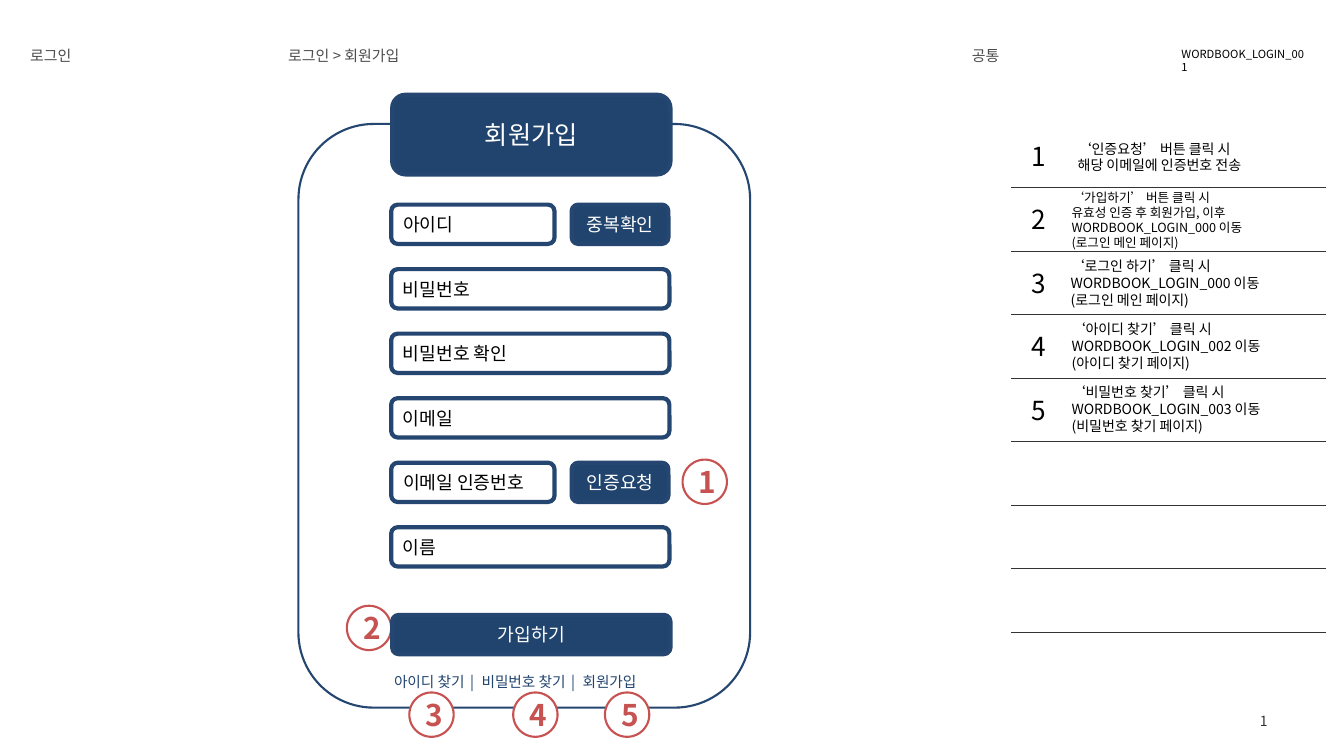
from lxml.etree import SubElement
from pptx import Presentation
from pptx.dml.color import RGBColor
from pptx.enum.shapes import MSO_CONNECTOR, MSO_SHAPE
from pptx.enum.text import MSO_ANCHOR, MSO_AUTO_SIZE, PP_ALIGN
from pptx.oxml.ns import qn
from pptx.util import Pt

NAVY, EDGE, RED = "21446E", "244670", "C75252"
BLACK, WHITE, DARK, GRAY = "000000", "FFFFFF", "333333", "4C4C4C"
LEFT, CENTER, RIGHT = PP_ALIGN.LEFT, PP_ALIGN.CENTER, PP_ALIGN.RIGHT
TOP, MIDDLE = MSO_ANCHOR.TOP, MSO_ANCHOR.MIDDLE


def px(*lengths):
    return [length * 9144 for length in lengths]


def color(value):
    return RGBColor.from_string(value)


def assign(target, values):
    for name, value in values.items():
        setattr(target, name, value)


class Wireframe:
    """Draws the elements of a screen specification on one slide."""

    font_name = "Noto Sans CJK KR"

    def __init__(self, presentation):
        self.slide = presentation.slides.add_slide(presentation.slide_layouts[6])

    def fill_text(self, shape, lines, size, ink, align=LEFT, anchor=TOP,
                  bold=False, insets=(10, 5, 10, 5), grow=False):
        frame = shape.text_frame
        left, top, right, bottom = px(*insets)
        assign(frame, {
            "word_wrap": True, "vertical_anchor": anchor,
            "margin_left": left, "margin_top": top,
            "margin_right": right, "margin_bottom": bottom,
            "auto_size": MSO_AUTO_SIZE.SHAPE_TO_FIT_TEXT if grow else MSO_AUTO_SIZE.NONE,
        })
        for index, line in enumerate(lines):
            paragraph = frame.add_paragraph() if index else frame.paragraphs[0]
            paragraph.alignment = align
            self.add_run(paragraph, line, size, ink, bold)

    def add_run(self, paragraph, text, size, ink, bold=False):
        run = paragraph.add_run()
        run.text = text
        assign(run.font, {"name": self.font_name, "size": Pt(size), "bold": bold})
        run.font.color.rgb = color(ink)
        properties = run._r.get_or_add_rPr()
        SubElement(properties, qn("a:ea")).set("typeface", self.font_name)
        return properties

    def text(self, box, lines, size, ink, **style):
        shape = self.slide.shapes.add_textbox(*px(*box))
        self.fill_text(shape, lines, size, ink, **style)
        return shape

    def shape(self, kind, box, edge, width, fill=None):
        shape = self.slide.shapes.add_shape(kind, *px(*box))
        shape.shadow.inherit = False
        if fill:
            shape.fill.solid()
            shape.fill.fore_color.rgb = color(fill)
        else:
            shape.fill.background()
        shape.line.color.rgb = color(edge)
        shape.line.width = Pt(width)
        return shape

    def panel(self, box):
        self.shape(MSO_SHAPE.ROUNDED_RECTANGLE, box, EDGE, 1.5)

    def field(self, box, label):
        shape = self.shape(MSO_SHAPE.ROUNDED_RECTANGLE, box, EDGE, 3)
        self.fill_text(shape, [label], 13, BLACK, anchor=MIDDLE)

    def button(self, box, label, size=13):
        shape = self.shape(MSO_SHAPE.ROUNDED_RECTANGLE, box, EDGE, 3, NAVY)
        self.fill_text(shape, [label], size, WHITE, align=CENTER, anchor=MIDDLE)

    def badge(self, number, left, top, fill=None):
        shape = self.shape(MSO_SHAPE.OVAL, (left, top, 44, 44), RED, 1.5, fill)
        self.fill_text(shape, [str(number)], 21.3, RED, align=CENTER, anchor=MIDDLE,
                       bold=True, insets=(10, 9, 7, 10))

    def rule(self, left, right, y):
        line = self.slide.shapes.add_connector(MSO_CONNECTOR.STRAIGHT, *px(left, y, right, y))
        line.line.color.rgb = color(DARK)
        line.line.width = Pt(0.3)
        SubElement(line._element.spPr, qn("a:effectLst"))

    def links(self, box, labels, size):
        shape = self.text(box, [labels[0]], size, NAVY, grow=True)
        paragraph = shape.text_frame.paragraphs[0]
        for label in labels[1:]:
            self.add_run(paragraph, " | ", size, NAVY).set("spc", "157")
            self.add_run(paragraph, label, size, NAVY)


def draw_header(wireframe):
    for left, width, label in [(20, 251, "로그인"), (276, 670, "로그인 > 회원가입"), (954, 206, "공통")]:
        wireframe.text((left, 41, width, 28), [label], 10.7, GRAY, grow=True)
    wireframe.text((1162, 42, 146, 24), ["WORDBOOK_LOGIN_001"], 8, BLACK, grow=True)
    wireframe.text((956, 695, 311, 40), ["1"], 10, DARK, align=RIGHT, anchor=MIDDLE)


def draw_notes(wireframe):
    row_height, first_row = 63, 123
    notes = [
        (1059, 134, 10, ["‘인증요청’ 버튼 클릭 시", "해당 이메일에 인증번호 전송"]),
        (1053, 183, 9, ["‘가입하기’ 버튼 클릭 시", "유효성 인증 후 회원가입, 이후",
                        "WORDBOOK_LOGIN_000 이동", "(로그인 메인 페이지)"]),
        (1052, 251, 10, ["‘로그인 하기’ 클릭 시", "WORDBOOK_LOGIN_000 이동", "(로그인 메인 페이지)"]),
        (1053, 313, 10, ["‘아이디 찾기’ 클릭 시", "WORDBOOK_LOGIN_002 이동", "(아이디 찾기 페이지)"]),
        (1053, 376, 10, ["‘비밀번호 찾기’ 클릭 시", "WORDBOOK_LOGIN_003 이동", "(비밀번호 찾기 페이지)"]),
    ]
    for row in range(1, 9):
        wireframe.rule(1003, 1315, first_row + row * row_height)
    for row, (left, top, size, lines) in enumerate(notes):
        wireframe.text((1003, first_row + row * row_height, 54, row_height), [str(row + 1)],
                       18.7, BLACK, align=CENTER, anchor=MIDDLE, insets=(13, 7, 13, 7))
        wireframe.text((left, top, 255, 61), lines, size, BLACK, grow=True)


def draw_form(wireframe):
    wireframe.panel((296, 123, 448, 579))
    wireframe.button((389, 94, 276, 79), "회원가입", 18)
    fields = [("아이디", "중복확인"), ("비밀번호", None), ("비밀번호 확인", None),
              ("이메일", None), ("이메일 인증번호", "인증요청"), ("이름", None)]
    for row, (label, action) in enumerate(fields):
        top = 203 + row * 64
        wireframe.field((388, top, 162 if action else 276, 39), label)
        if action:
            wireframe.button((567, top, 96, 39), action)
    wireframe.badge(2, 344, 601)
    wireframe.button((389, 610, 276, 39), "가입하기")
    wireframe.badge(1, 677, 456)
    wireframe.links((381, 663, 289, 29), ["아이디 찾기", "비밀번호 찾기", "회원가입"], 10.5)
    for number, left in [(3, 406), (4, 509), (5, 600)]:
        wireframe.badge(number, left, 687, WHITE)


def main():
    presentation = Presentation()
    width, height = px(1333, 750)
    assign(presentation, {"slide_width": width, "slide_height": height})
    wireframe = Wireframe(presentation)
    draw_header(wireframe)
    draw_notes(wireframe)
    draw_form(wireframe)
    presentation.save("out.pptx")


if __name__ == "__main__":
    main()
